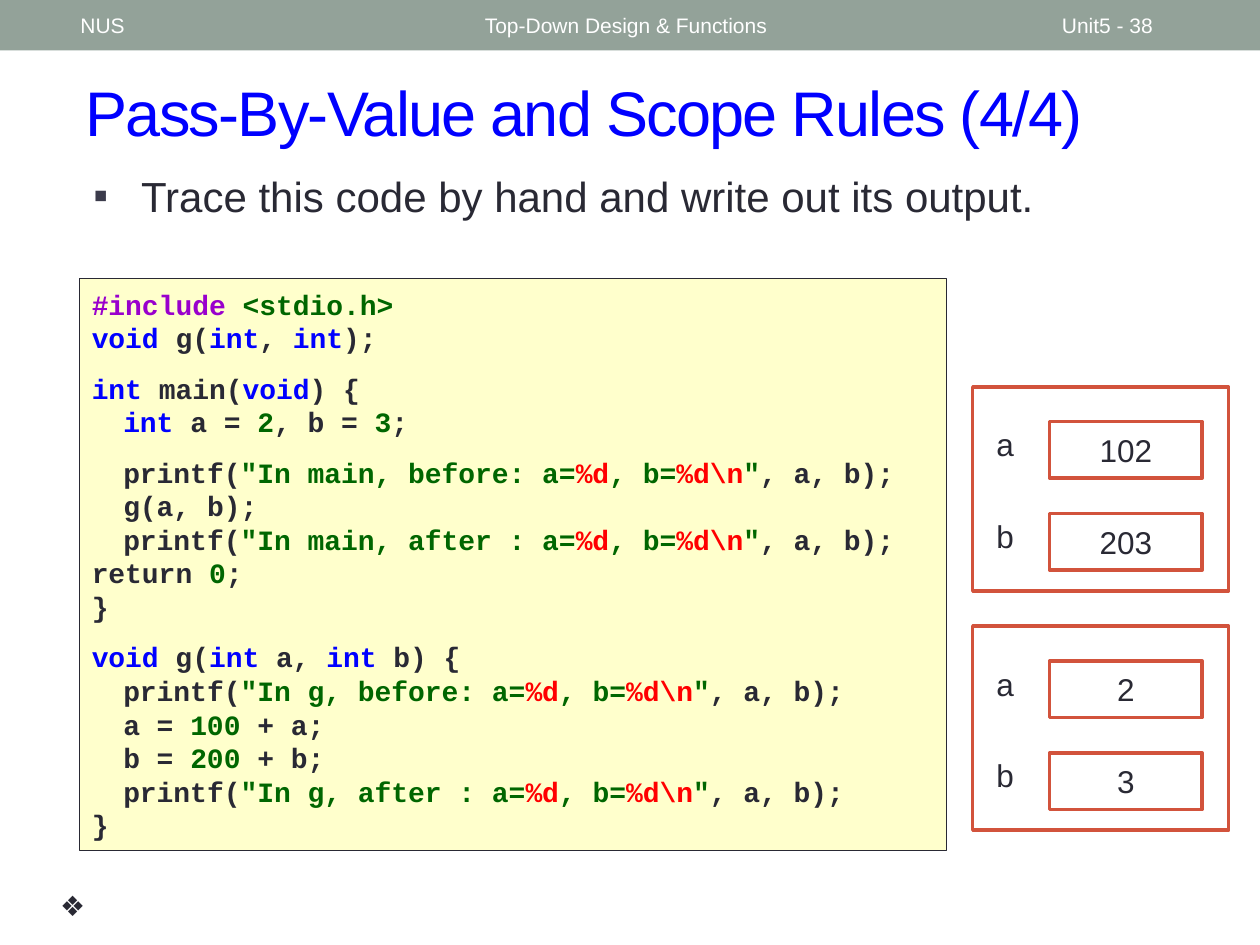
import dataclasses

import lxml.etree
import pptx
import pptx.dml.color
import pptx.enum.shapes
import pptx.enum.text
import pptx.oxml.ns
import pptx.util

RGBColor = pptx.dml.color.RGBColor
WHITE = RGBColor(0xFF, 0xFF, 0xFF)
SAGE = RGBColor(0x93, 0xA2, 0x99)
INK = RGBColor(0x29, 0x29, 0x34)
BULLET = RGBColor(0x3B, 0x3B, 0x4B)
BLUE = RGBColor(0x00, 0x00, 0xFF)
PURPLE = RGBColor(0x99, 0x00, 0xCC)
GREEN = RGBColor(0x00, 0x66, 0x00)
RED = RGBColor(0xFF, 0x00, 0x00)
CREAM = RGBColor(0xFF, 0xFF, 0xCC)
BRICK = RGBColor(0xD2, 0x53, 0x3C)

SLIDE_WIDTH = pptx.util.Inches(10)
SLIDE_HEIGHT = pptx.util.Inches(7.5)
COLUMN = SLIDE_WIDTH / 100
ROW = SLIDE_HEIGHT / 75
RECTANGLE = pptx.enum.shapes.MSO_SHAPE.RECTANGLE
MIDDLE = pptx.enum.text.MSO_ANCHOR.MIDDLE
TOP = pptx.enum.text.MSO_ANCHOR.TOP
LEFT = pptx.enum.text.PP_ALIGN.LEFT
CENTER = pptx.enum.text.PP_ALIGN.CENTER

TOKEN_COLORS = {"p": PURPLE, "s": GREEN, "k": BLUE, "f": RED}
PRINTF = '\tprintf(`s"In {}: a=``f%d``s, b=``f%d\\n``s"`, a, b);'
CODE_BLOCKS = [
    ["`p#include ``s<stdio.h>`", "`kvoid `g(`kint`,`k int`);"],
    ["`kint` main(`kvoid`) {", "\t`kint` a = `s2`, b = `s3`;"],
    [PRINTF.format("main, before"), "\tg(a, b);",
     PRINTF.format("main, after ") + "\treturn `s0`;", "}"],
    ["`kvoid` g(`kint` a, `kint `b) {", PRINTF.format("g, before"),
     "\ta = `s100` + a;", "\tb = `s200 `+ b;", PRINTF.format("g, after "), "}"],
]


@dataclasses.dataclass
class Box:
    """Area of the slide measured in grid columns and rows."""

    left: float
    top: float
    width: float
    height: float

    def inside(self, left, top, width, height):
        """Return a box offset from this one's corner."""
        return Box(self.left + left, self.top + top, width, height)

    def emu(self):
        """Return left, top, width and height as lengths."""
        units = (COLUMN, ROW, COLUMN, ROW)
        return [round(n * unit) for n, unit in zip(dataclasses.astuple(self), units)]


def apply_format(target, values):
    """Set every attribute named in a dict of format values."""
    for name, value in values.items():
        setattr(target, name, value)


def style_font(font, size, color, name="Arial", bold=False):
    """Set the typeface, size, weight and colour of a font."""
    apply_format(font, {"name": name, "size": pptx.util.Pt(size), "bold": bold})
    font.color.rgb = color


def add_properties(paragraph, elements):
    """Append bullet or tab elements to a paragraph's properties."""
    properties = paragraph._p.get_or_add_pPr()
    namespace = pptx.oxml.ns.nsdecls("a")
    for element in elements:
        tag, rest = element.split(" ", 1)
        properties.append(pptx.oxml.parse_xml(f"<a:{tag} {namespace} {rest}"))
    return properties


def write_text(shape, text, size, color, alignment=LEFT, anchor=MIDDLE, wrap=True):
    """Put one formatted paragraph into a shape."""
    apply_format(shape.text_frame, {"word_wrap": wrap, "vertical_anchor": anchor})
    paragraph = shape.text_frame.paragraphs[0]
    paragraph.alignment = alignment
    run = paragraph.add_run()
    run.text = text
    style_font(run.font, size, color)
    return run


def add_label(slide, box, text, size, color, **layout):
    """Add a text box with one line of text."""
    shape = slide.shapes.add_textbox(*box.emu())
    write_text(shape, text, size, color, **layout)


def add_rectangle(slide, box, fill=None, line=None, line_width=2.08):
    """Add a rectangle with optional fill and outline."""
    shape = slide.shapes.add_shape(RECTANGLE, *box.emu())
    shape.shadow.inherit = False
    if fill is None:
        shape.fill.background()
    else:
        shape.fill.solid()
        shape.fill.fore_color.rgb = fill
    if line is None:
        shape.line.fill.background()
    else:
        shape.line.color.rgb = line
        shape.line.width = pptx.util.Pt(line_width)
    return shape


def place_placeholder(shape, box):
    """Move a placeholder to a box and fix its text size."""
    names = ("left", "top", "width", "height")
    apply_format(shape, dict(zip(names, box.emu())))
    shape.text_frame.auto_size = pptx.enum.text.MSO_AUTO_SIZE.NONE


def build_header(slide, box):
    """Draw the header band and its three captions."""
    add_rectangle(slide, box, fill=SAGE)
    captions = [("NUS", 5.4, 31.7), ("Top-Down Design & Functions", 37.5, 45),
                ("Unit5 - 38", 83.3, 11.7)]
    for text, left, width in captions:
        add_label(slide, box.inside(left, 0.2, width, 3.6), text, 12, WHITE)


def build_title(slide, box):
    """Fill the title placeholder."""
    title = slide.shapes.title
    place_placeholder(title, box)
    run = write_text(title, "Pass-By-Value and Scope Rules (4/4)", 36, BLUE)
    run.font._element.set("spc", "-100")


def build_task(slide, box):
    """Fill the body placeholder with the bulleted task."""
    body = slide.placeholders[1]
    place_placeholder(body, box)
    paragraph = body.text_frame.paragraphs[0]
    properties = add_properties(paragraph, [
        f'buClr ><a:srgbClr val="{BULLET}"/></a:buClr>',
        'buFont typeface="Arial"/>', 'buChar char="▪"/>'])
    indent = pptx.util.Inches(0.38)
    apply_format(paragraph, {"space_before": pptx.util.Pt(0)})
    properties.set("marL", str(indent))
    properties.set("indent", str(-indent))
    write_text(body, "Trace this code by hand and write out its output.", 24, INK, anchor=TOP)


def write_code_line(paragraph, line, starts_block):
    """Write one line of code, colouring the backquoted tokens."""
    stops = "".join(f'<a:tab pos="{pptx.util.Inches(stop)}" algn="l"/>'
                    for stop in (0.25, 0.51, 0.75))
    add_properties(paragraph, [f"tabLst >{stops}</a:tabLst>"])
    apply_format(paragraph, {
        "alignment": LEFT, "line_spacing": pptx.util.Pt(19.2),
        "space_before": pptx.util.Pt(9.6 if starts_block else 0)})
    for index, token in enumerate(line.split("`")):
        if not token:
            continue
        marked = index % 2 == 1
        run = paragraph.add_run()
        run.text = token[1:] if marked else token
        color = TOKEN_COLORS[token[0]] if marked else INK
        style_font(run.font, 16, color, "Courier New", True)


def build_code(slide, box):
    """Draw the code listing."""
    frame = add_rectangle(slide, box, CREAM, INK, 0.75).text_frame
    apply_format(frame, {"word_wrap": True, "vertical_anchor": TOP,
                         "margin_top": pptx.util.Inches(0.07)})
    for block_index, block in enumerate(CODE_BLOCKS):
        for line_index, line in enumerate(block):
            first = block_index == line_index == 0
            paragraph = frame.paragraphs[0] if first else frame.add_paragraph()
            write_code_line(paragraph, line, line_index == 0 and not first)


def build_memory(slide, box, variables):
    """Draw a function's frame with its named variable cells."""
    add_rectangle(slide, box, line=BRICK)
    for index, (name, value) in enumerate(variables.items()):
        top = 2.75 + 7.3 * index
        cell = add_rectangle(slide, box.inside(6.1, top, 12.1, 4.5), line=BRICK)
        write_text(cell, value, 18, INK, alignment=CENTER)
        add_label(slide, box.inside(0.9, top - 0.2, 5.3, 4), name, 18, INK, anchor=TOP)


def main():
    """Build the slide and save it."""
    presentation = pptx.Presentation()
    apply_format(presentation, {"slide_width": SLIDE_WIDTH, "slide_height": SLIDE_HEIGHT})
    slide = presentation.slides.add_slide(presentation.slide_layouts[1])
    build_header(slide, Box(0, 0, 100, 4))
    build_title(slide, Box(5.8, 4.2, 91.7, 9.2))
    build_task(slide, Box(6.4, 13, 90, 6.3))
    build_code(slide, Box(6.3, 22.1, 68.8, 45.4))
    add_label(slide, Box(3.8, 70, 3.4, 3.7), "❖", 16, INK,
              alignment=CENTER, anchor=TOP, wrap=False)
    build_memory(slide, Box(77.2, 49.7, 20.3, 16.2), {"a": "2", "b": "3"})
    build_memory(slide, Box(77.2, 30.7, 20.3, 16.2), {"a": "102", "b": "203"})
    presentation.save("out.pptx")


if __name__ == "__main__":
    main()
